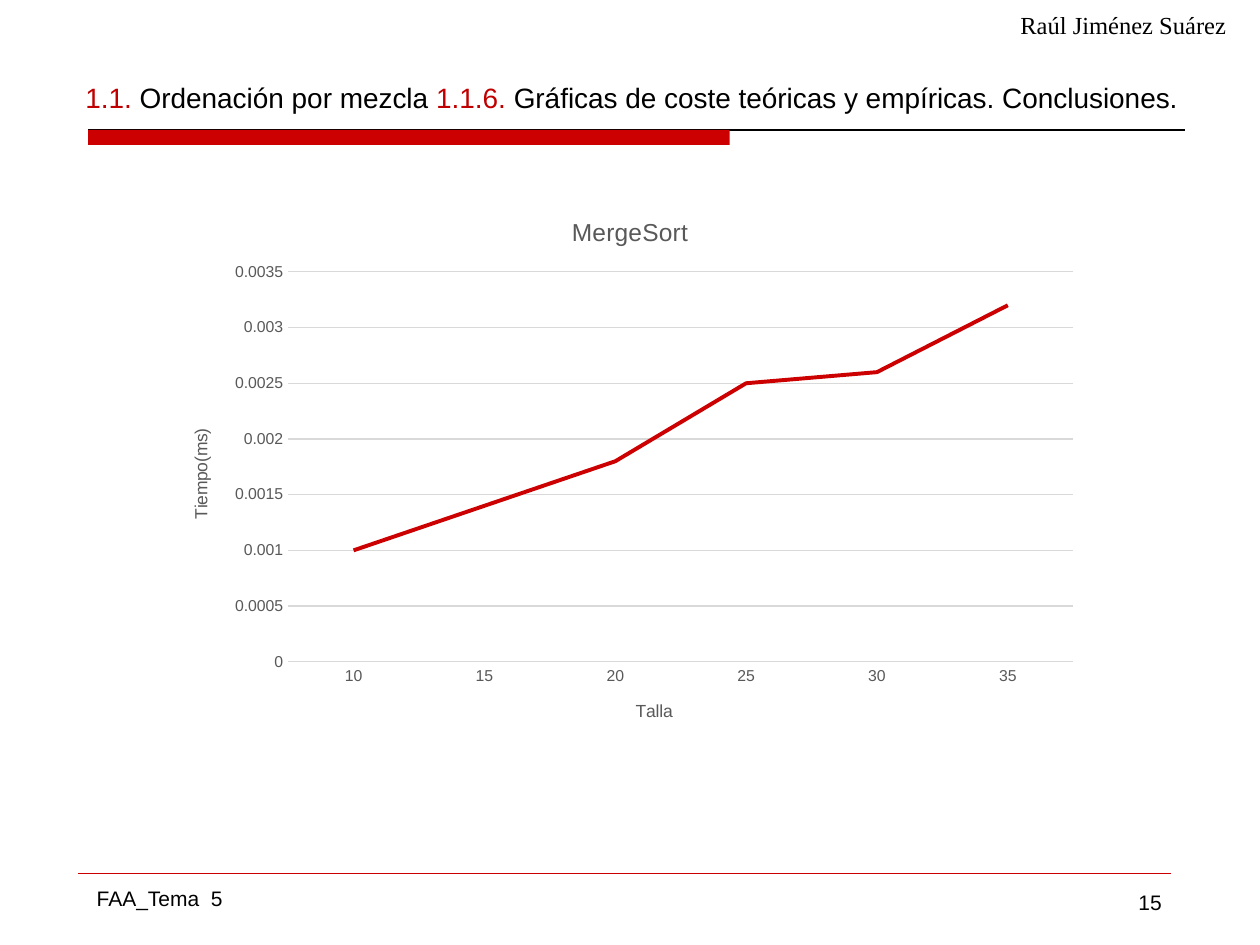
from lxml.etree import SubElement
from pptx import Presentation
from pptx.chart.data import CategoryChartData
from pptx.dml.color import RGBColor
from pptx.enum.chart import XL_CHART_TYPE, XL_TICK_MARK
from pptx.enum.shapes import MSO_CONNECTOR, MSO_SHAPE
from pptx.enum.text import MSO_ANCHOR, PP_ALIGN
from pptx.oxml import parse_xml
from pptx.oxml.ns import nsdecls, qn
from pptx.util import Cm, Pt

RED = RGBColor(0xCC, 0x00, 0x00)
NUMBER_RED = RGBColor(0xC0, 0x00, 0x00)
BLACK = RGBColor(0x00, 0x00, 0x00)
GRAY = RGBColor(0x59, 0x59, 0x59)
GRID = RGBColor(0xD9, 0xD9, 0xD9)

SIZES = [10, 15, 20, 25, 30, 35]
TIMES = [0.001, 0.0014, 0.0018, 0.0025, 0.0026, 0.0032]


def style_font(font, size, color, name="Arial"):
    font.name = name
    font.size = Pt(size)
    font.bold = False
    font.color.rgb = color


def add_text(slide, left, top, width, height, pieces, size, name="Arial",
             align=PP_ALIGN.LEFT, anchor=MSO_ANCHOR.TOP, wrap=True):
    """Add one line of text made of (text, color) pieces."""
    frame = slide.shapes.add_textbox(Cm(left), Cm(top), Cm(width), Cm(height)).text_frame
    frame.word_wrap = wrap
    frame.vertical_anchor = anchor
    paragraph = frame.paragraphs[0]
    paragraph.alignment = align
    for text, color in pieces:
        run = paragraph.add_run()
        run.text = text
        style_font(run.font, size, color, name)


def add_rule(slide, left, right, y, color, weight):
    rule = slide.shapes.add_connector(MSO_CONNECTOR.STRAIGHT, Cm(left), Cm(y), Cm(right), Cm(y))
    rule.line.color.rgb = color
    rule.line.width = Pt(weight)
    SubElement(rule._element.spPr, qn("a:effectLst"))


def add_bar(slide, left, top, width, height):
    bar = slide.shapes.add_shape(MSO_SHAPE.RECTANGLE, Cm(left), Cm(top), Cm(width), Cm(height))
    bar.shadow.inherit = False
    bar.fill.solid()
    bar.fill.fore_color.rgb = RED
    bar.line.fill.background()


def set_title(frame, text, size):
    frame.text = text
    style_font(frame.paragraphs[0].runs[0].font, size, GRAY)


def style_axis(axis, title):
    set_title(axis.axis_title.text_frame, title, 10)
    axis.major_tick_mark = XL_TICK_MARK.NONE
    axis.minor_tick_mark = XL_TICK_MARK.NONE
    style_font(axis.tick_labels.font, 9, GRAY)


def place_plot(chart, **fractions):
    """Fix the inner plot area, in fractions of the chart's size."""
    plot_area = chart._chartSpace.find(".//" + qn("c:plotArea"))
    for old_layout in plot_area.findall(qn("c:layout")):
        plot_area.remove(old_layout)
    values = "".join(f'<c:{key} val="{value}"/>' for key, value in fractions.items())
    plot_area.insert(0, parse_xml(
        f'<c:layout {nsdecls("c")}><c:manualLayout><c:layoutTarget val="inner"/>'
        f'<c:xMode val="edge"/><c:yMode val="edge"/>{values}</c:manualLayout></c:layout>'))


def add_time_chart(slide):
    data = CategoryChartData()
    data.categories = [str(size) for size in SIZES]
    data.add_series("Series 1", TIMES)
    chart = slide.shapes.add_chart(XL_CHART_TYPE.LINE, Cm(3.39), Cm(3.91),
                                   Cm(18.62), Cm(11.23), data).chart
    style_font(chart.font, 10, BLACK)
    chart.has_legend = False
    chart.has_title = True
    set_title(chart.chart_title.text_frame, "MergeSort", 14)
    place_plot(chart, x=0.13, y=0.14, w=0.85, h=0.7)

    size_axis, time_axis = chart.category_axis, chart.value_axis
    style_axis(size_axis, "Talla")
    size_axis.format.line.color.rgb = GRID
    size_axis.format.line.width = Pt(0.75)

    style_axis(time_axis, "Tiempo(ms)")
    time_axis.axis_title._element.find(".//" + qn("a:bodyPr")).set("rot", "-5400000")
    time_axis.minimum_scale = 0
    time_axis.maximum_scale = 0.0035
    time_axis.major_unit = 0.0005
    time_axis.format.line.fill.background()
    time_axis.major_gridlines.format.line.color.rgb = GRID
    time_axis.major_gridlines.format.line.width = Pt(0.75)

    chart.plots[0].vary_by_categories = False
    times = chart.plots[0].series[0]
    times.smooth = False
    times.format.line.color.rgb = RED
    times.format.line.width = Pt(2.25)


def main():
    presentation = Presentation()
    presentation.slide_width = Cm(25.4)
    presentation.slide_height = Cm(19.05)
    slide = presentation.slides.add_slide(presentation.slide_layouts[6])

    add_rule(slide, 1.78, 23.88, 2.62, BLACK, 0.75)
    add_bar(slide, 1.78, 2.62, 12.93, 0.3)
    add_rule(slide, 1.57, 23.6, 17.6, RED, 0.25)
    add_text(slide, 1.7, 17.73, 3.07, 0.76, [("FAA_Tema  5", BLACK)], 12, wrap=False)
    add_text(slide, 18.16, 17.81, 5.51, 1.32, [("15", BLACK)], 12, align=PP_ALIGN.RIGHT)
    heading = [("1.1. ", NUMBER_RED), ("Ordenación por mezcla ", BLACK),
               ("1.1.6. ", NUMBER_RED),
               ("Gráficas de coste teóricas y empíricas. Conclusiones.", BLACK)]
    add_text(slide, 1.47, 1.22, 23.29, 1.47, heading, 16, anchor=MSO_ANCHOR.MIDDLE)
    add_time_chart(slide)
    add_text(slide, 20.32, 0.08, 7.14, 0.86, [("Raúl Jiménez Suárez", BLACK)], 14,
             name="Times New Roman")

    presentation.save("out.pptx")


if __name__ == "__main__":
    main()
